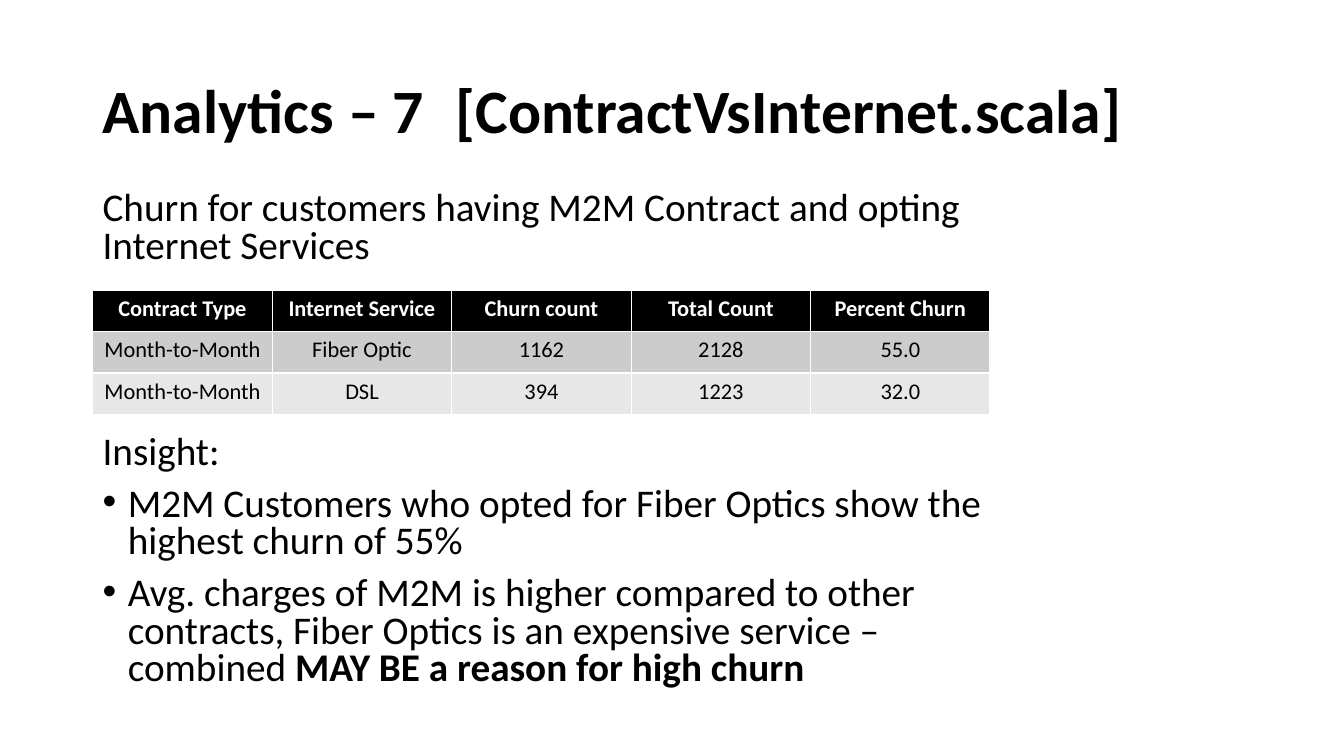
import pptx
import pptx.util
import pptx.dml.color
import pptx.enum.text
import lxml.etree
import pptx.oxml.ns

COLORS = {"ink": "000000", "paper": "FFFFFF", "odd row": "CCCCCC", "even row": "E7E7E7"}
FONT = "Calibri"
LEFT = 0.92
BODY_WIDTH = 9.16
ROW_HEIGHT = 0.41
COLUMN_WIDTH = 1.78


def rgb(name):
    return pptx.dml.color.RGBColor.from_string(COLORS[name])


def add_text(box, paragraphs, size, line_spacing, space_before):
    """Fill a text box; each paragraph is (bulleted, [(text, bold), ...])."""
    frame = box.text_frame
    frame.word_wrap = True
    for index, (bulleted, pieces) in enumerate(paragraphs):
        paragraph = frame.paragraphs[0] if index == 0 else frame.add_paragraph()
        paragraph.line_spacing = line_spacing
        paragraph.space_before = pptx.util.Pt(space_before)
        if bulleted:
            properties = paragraph._p.get_or_add_pPr()
            indent = pptx.util.Inches(0.25)
            properties.set("marL", str(indent))
            properties.set("indent", str(-indent))
            for tag, key, value in (("a:buFont", "typeface", "Arial"), ("a:buChar", "char", "•")):
                bullet = lxml.etree.SubElement(properties, pptx.oxml.ns.qn(tag))
                bullet.set(key, value)
        for text, bold in pieces:
            run = paragraph.add_run()
            run.text = text
            look = {"name": FONT, "size": pptx.util.Pt(size), "bold": bold}
            for key, value in look.items():
                setattr(run.font, key, value)
            run.font.color.rgb = rgb("ink")
    return frame


deck = pptx.Presentation()
deck.slide_width = pptx.util.Inches(13.33)
deck.slide_height = pptx.util.Inches(7.5)
slide = deck.slides.add_slide(deck.slide_layouts[6])

# Title
title = slide.shapes.add_textbox(*map(pptx.util.Inches, (LEFT, 0.4, 11.5, 1.45)))
title_frame = add_text(title, [(False, [("Analytics – 7\t[ContractVsInternet.scala]", True)])], 44, 0.9, 0)
title_frame.vertical_anchor = pptx.enum.text.MSO_ANCHOR.MIDDLE

# Question above the table and insight below it
question = [(False, [("Churn for customers having M2M Contract and opting Internet Services", False)])]
insight = [
    (False, [("Insight:", False)]),
    (True, [("M2M Customers who opted for Fiber Optics show the highest churn of 55%", False)]),
    (True, [
        ("Avg. charges of M2M is higher compared to other contracts, "
         "Fiber Optics is an expensive service – combined ", False),
        ("MAY BE a reason for high churn", True),
    ]),
]
for top, height, paragraphs in ((1.85, 1, question), (4.27, 2.73, insight)):
    body = slide.shapes.add_textbox(*map(pptx.util.Inches, (LEFT, top, BODY_WIDTH, height)))
    add_text(body, paragraphs, 28, 0.8, 10)

# Churn table
churn_rows = [
    ("Contract Type", "Internet Service", "Churn count", "Total Count", "Percent Churn"),
    ("Month-to-Month", "Fiber Optic", "1162", "2128", "55.0"),
    ("Month-to-Month", "DSL", "394", "1223", "32.0"),
]
row_looks = [("ink", "paper", True), ("odd row", "ink", False), ("even row", "ink", False)]
row_count, column_count = len(churn_rows), len(churn_rows[0])
churn_table = slide.shapes.add_table(
    row_count, column_count,
    *map(pptx.util.Inches, (LEFT, 2.88, COLUMN_WIDTH * column_count, ROW_HEIGHT * row_count)),
).table
for column in churn_table.columns:
    column.width = pptx.util.Inches(COLUMN_WIDTH)
for row, values, (fill, ink, bold) in zip(churn_table.rows, churn_rows, row_looks):
    row.height = pptx.util.Inches(ROW_HEIGHT)
    for cell, value in zip(row.cells, values):
        cell.fill.solid()
        cell.fill.fore_color.rgb = rgb(fill)
        paragraph = cell.text_frame.paragraphs[0]
        paragraph.alignment = pptx.enum.text.PP_ALIGN.CENTER
        run = paragraph.add_run()
        run.text = value
        look = {"name": FONT, "size": pptx.util.Pt(16), "bold": bold}
        for key, setting in look.items():
            setattr(run.font, key, setting)
        run.font.color.rgb = rgb(ink)

deck.save("out.pptx")
